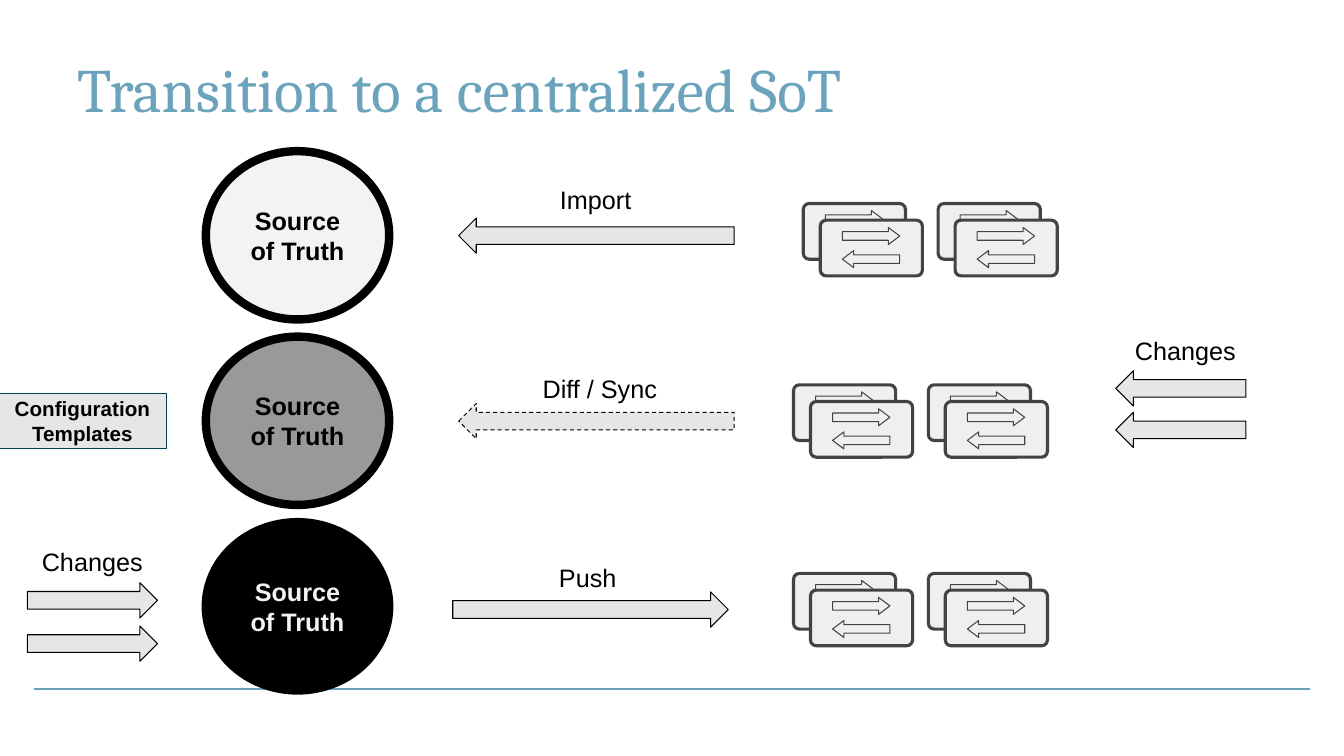
from dataclasses import dataclass

from lxml import etree
from pptx import Presentation
from pptx.dml.color import RGBColor
from pptx.enum.dml import MSO_LINE
from pptx.enum.shapes import MSO_CONNECTOR, MSO_SHAPE
from pptx.enum.text import MSO_ANCHOR, PP_ALIGN
from pptx.oxml.ns import qn
from pptx.util import Pt

STRAIGHT = MSO_CONNECTOR.STRAIGHT
OVAL, RECTANGLE, ROUNDED = MSO_SHAPE.OVAL, MSO_SHAPE.RECTANGLE, MSO_SHAPE.ROUNDED_RECTANGLE
LEFT, RIGHT = MSO_SHAPE.LEFT_ARROW, MSO_SHAPE.RIGHT_ARROW
DASH, MIDDLE = MSO_LINE.DASH, MSO_ANCHOR.MIDDLE
ALIGN_LEFT, CENTER = PP_ALIGN.LEFT, PP_ALIGN.CENTER


@dataclass(frozen=True)
class Theme:
    """Colours, fonts and type sizes of the deck."""
    accent: str = "6BA3BC"
    black: str = "000000"
    pale: str = "F3F3F3"
    gray: str = "999999"
    arrow: str = "E7E6E6"
    device: str = "EFEFEF"
    device_line: str = "434343"
    template_line: str = "003E51"
    heading_font: str = "Cambria"
    body_font: str = "Arial"
    title_size: float = 44
    body_size: float = 18
    small_size: float = 14.7


class Diagram:
    """Draws the elements of the diagram on one slide."""

    def __init__(self, slide, theme):
        self.slide = slide
        self.theme = theme

    def set_text(self, shape, text, size, color, bold=False, font=None, align=CENTER, inset=(7.2, 7.2)):
        frame = shape.text_frame
        frame.word_wrap = True
        frame.vertical_anchor = MIDDLE
        frame.margin_left = frame.margin_right = Pt(inset[0])
        frame.margin_top = frame.margin_bottom = Pt(inset[1])
        para = frame.paragraphs[0]
        para.text = text
        para.alignment = align
        para.font.name = font or self.theme.body_font
        para.font.size = Pt(size)
        para.font.bold = bold
        para.font.color.rgb = RGBColor.from_string(color)

    def shape(self, kind, left, top, width, height, fill, line, weight=0.75, parent=None):
        shapes = (parent or self.slide).shapes
        shape = shapes.add_shape(kind, Pt(left), Pt(top), Pt(width), Pt(height))
        shape.shadow.inherit = False
        shape.fill.solid()
        shape.fill.fore_color.rgb = RGBColor.from_string(fill)
        shape.line.color.rgb = RGBColor.from_string(line)
        shape.line.width = Pt(weight)
        return shape

    def rule(self, left, right, top):
        line = self.slide.shapes.add_connector(STRAIGHT, Pt(left), Pt(top), Pt(right), Pt(top))
        line.line.color.rgb = RGBColor.from_string(self.theme.accent)
        line.line.width = Pt(1.5)
        etree.SubElement(line._element.spPr, qn("a:effectLst"))

    def title(self, text):
        box = self.slide.shapes.add_textbox(Pt(48), Pt(18), Pt(864), Pt(90))
        self.set_text(box, text, self.theme.title_size, self.theme.accent,
                      font=self.theme.heading_font, align=ALIGN_LEFT, inset=(7.2, 3.6))

    def label(self, text, left, top):
        box = self.slide.shapes.add_textbox(Pt(left), Pt(top), Pt(142.6), Pt(30.2))
        self.set_text(box, text, self.theme.body_size, self.theme.black)

    def source_of_truth(self, top, fill, color):
        circle = self.shape(OVAL, 147, top, 131, 120.2, fill, self.theme.black, 6)
        self.set_text(circle, "Source of Truth", self.theme.body_size, color, True, inset=(9.4, 9.4))

    def templates(self, left, top):
        box = self.shape(RECTANGLE, left, top, 120.2, 39.6, self.theme.arrow, self.theme.template_line)
        self.set_text(box, "Configuration Templates", self.theme.small_size, self.theme.black, True)

    def arrow(self, kind, left, top, width, dash=None):
        arrow = self.shape(kind, left, top, width, 25.2, self.theme.arrow, self.theme.black)
        if dash:
            arrow.line.dash_style = dash

    def device(self, left, top, arrows):
        group = self.slide.shapes.add_group_shape()
        fill, line = self.theme.device, self.theme.device_line
        card = self.shape(ROUNDED, left, top, 73, 39.8, fill, line, 2.25, group)
        card.adjustments[0] = 0.105
        for kind, drop in arrows:
            arrow = self.shape(kind, left + 15.8, top + drop, 41, 12.2, fill, line, parent=group)
            arrow.adjustments[1] = 0.667

    def device_stacks(self, left, top):
        for stack_left in (left, left + 96.3):
            self.device(stack_left, top, [(RIGHT, 5)])
            self.device(stack_left + 12.1, top + 11.9, [(LEFT, 21.7), (RIGHT, 5.2)])


def main():
    theme = Theme()
    deck = Presentation()
    deck.slide_width, deck.slide_height = Pt(960), Pt(540)
    page = Diagram(deck.slides.add_slide(deck.slide_layouts[6]), theme)

    page.rule(24, 936, 492)
    page.title("Transition to a centralized SoT")

    stages = [
        (theme.pale, theme.black, "Import", 354.2, 127.6, LEFT, 327.6, 155.7, None, 573.8, 145.4),
        (theme.gray, theme.black, "Diff / Sync", 357.1, 262.3, LEFT, 327.6, 288.2, DASH, 566.8, 274.9),
        (theme.black, theme.pale, "Push", 348.5, 397.3, RIGHT, 323.4, 422.8, None, 566.8, 409.6),
    ]
    for row, stage in enumerate(stages):
        fill, color, flow, label_left, label_top, kind, left, top, dash, stack_left, stack_top = stage
        page.device_stacks(stack_left, stack_top)
        page.source_of_truth(108 + 132.5 * row, fill, color)
        page.arrow(kind, left, top, 196.8, dash)
        page.label(flow, label_left, label_top)

    page.templates(-1.2, 280.8)
    changes = [(RIGHT, 19.6, (416.2, 447.1), -5.4, 386.1), (LEFT, 797, (264.8, 294.5), 775.4, 234.9)]
    for kind, left, tops, label_left, label_top in changes:
        for top in tops:
            page.arrow(kind, left, top, 92.9)
        page.label("Changes", label_left, label_top)

    deck.save("out.pptx")


if __name__ == "__main__":
    main()
